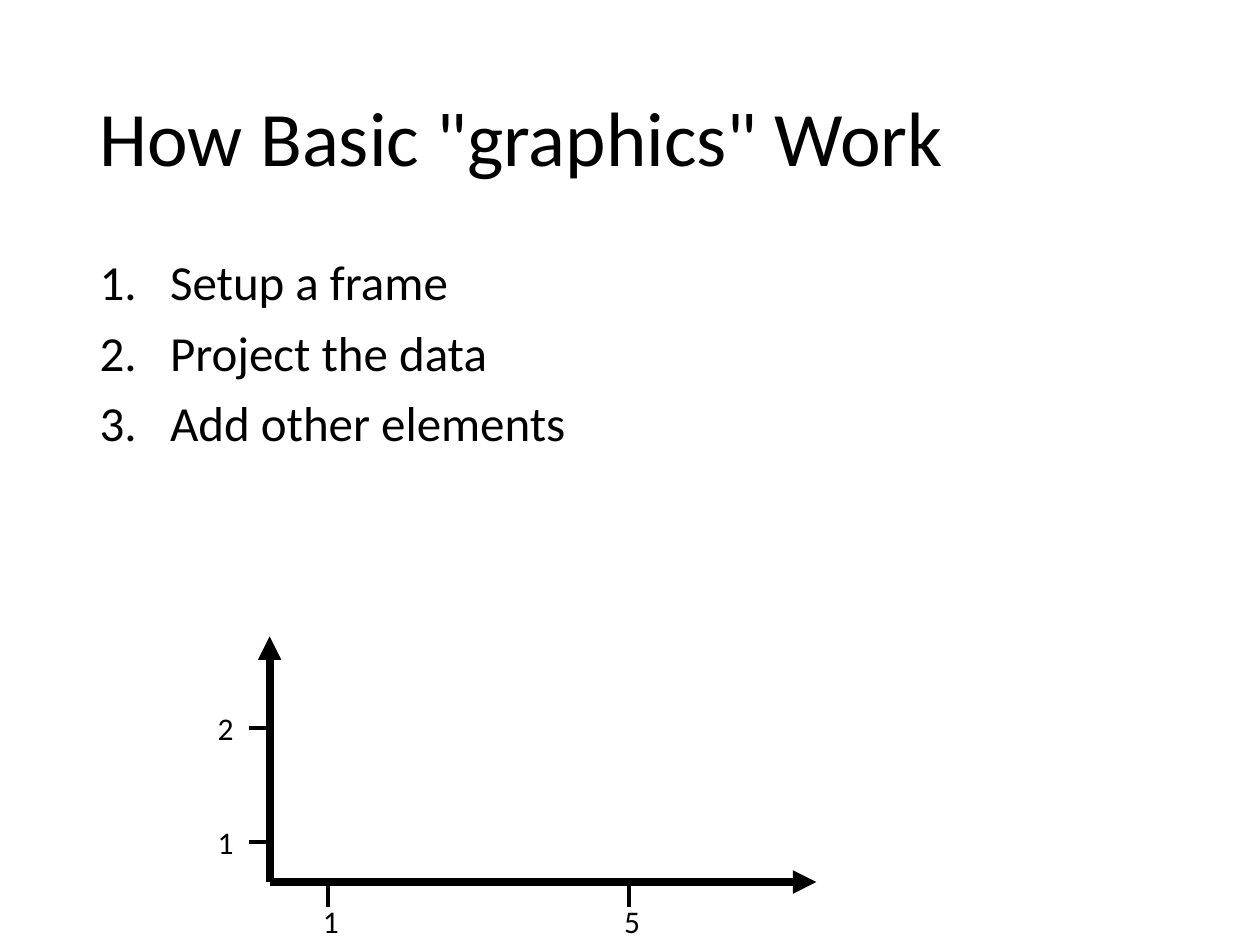
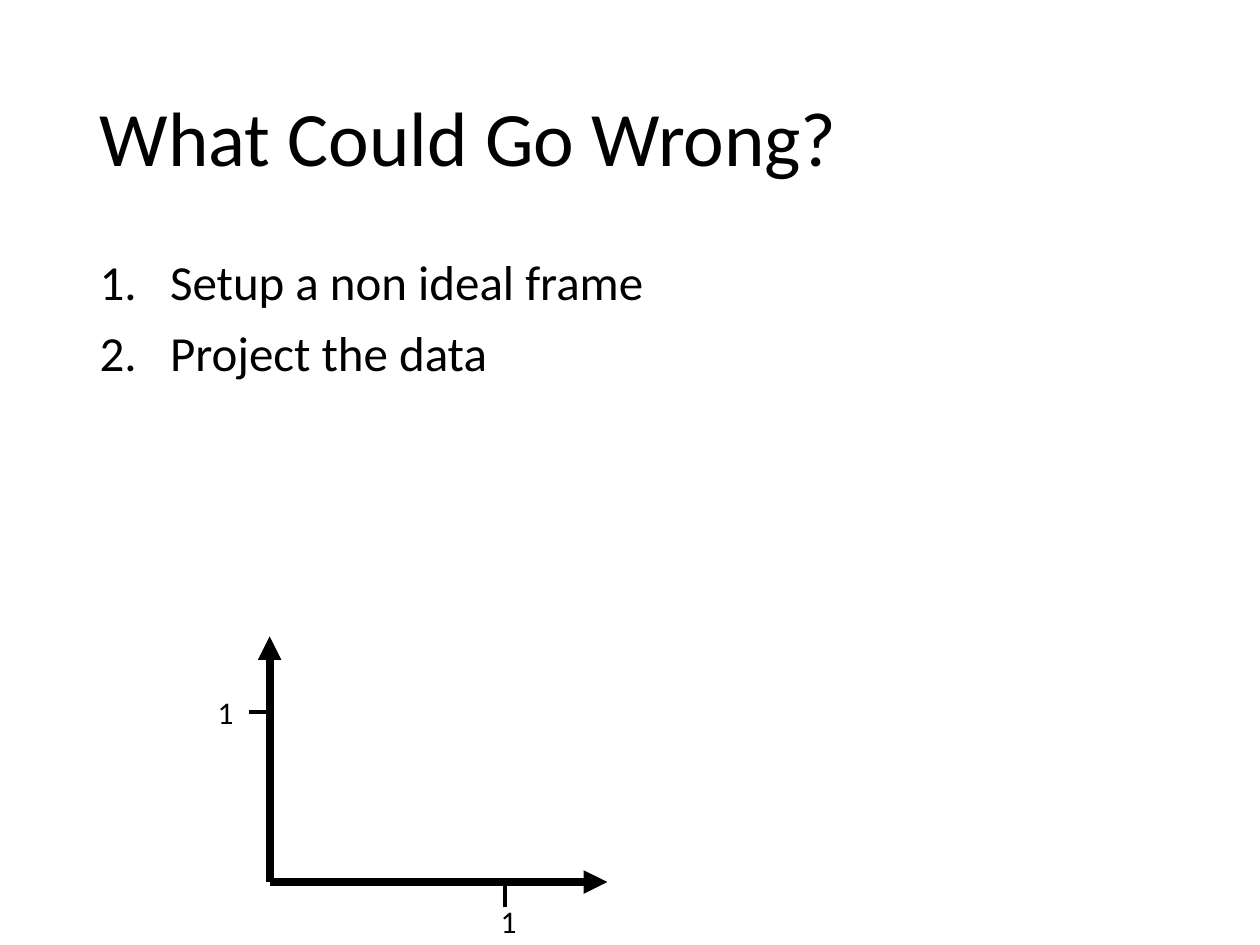
"""Build two slides that explain how a plot frame is set up and how it can go wrong."""
from dataclasses import dataclass

from lxml import etree
from pptx import Presentation
from pptx.dml.color import RGBColor
from pptx.enum.shapes import MSO_CONNECTOR
from pptx.enum.text import MSO_ANCHOR, MSO_AUTO_SIZE, PP_ALIGN
from pptx.oxml.ns import qn
from pptx.util import Inches, Pt

STRAIGHT = MSO_CONNECTOR.STRAIGHT
MIDDLE = MSO_ANCHOR.MIDDLE
FIXED, GROW = MSO_AUTO_SIZE.NONE, MSO_AUTO_SIZE.SHAPE_TO_FIT_TEXT
LEFT = PP_ALIGN.LEFT


@dataclass(frozen=True)
class Theme:
    font: str = "Calibri"
    ink: RGBColor = RGBColor(0, 0, 0)
    paper: RGBColor = RGBColor(255, 255, 255)
    title_size: int = 44
    body_size: int = 28
    label_size: int = 18
    axis_width: float = 4.5
    tick_width: float = 2.25


theme = Theme()
deck = Presentation()
deck.slide_width, deck.slide_height = Inches(10), Inches(7.5)
COLUMN = deck.slide_width / 100
ROW = deck.slide_height / 75

TITLE_AREA = (6.9, 4, 86.2, 14.5)
BODY_AREA = (6.9, 20, 86.2, 47.6)
LIST_INDENT = round(5.6 * COLUMN)
ORIGIN_X, ORIGIN_Y = 21.4, 70
AXIS_TOP = 50.5
TICK_LEFT, TICK_BOTTOM = 19.8, 72
LABEL_WIDTH, LABEL_HEIGHT = 2.7, 4
Y_LABEL_LEFT, X_LABEL_TOP = 16.3, 71.1

SLIDES = [
    {
        "title": 'How Basic "graphics" Work',
        "steps": ["Setup a frame", "Project the data", "Add other elements"],
        "axis_right": 64.8,
        "x_ticks": {"1": 26, "5": 49.9},
        "y_ticks": {"1": 66.8, "2": 57.8},
    },
    {
        "title": "What Could Go Wrong?",
        "steps": ["Setup a non ideal frame", "Project the data"],
        "axis_right": 48.2,
        "x_ticks": {"1": 40.1},
        "y_ticks": {"1": 56.5},
    },
]


def write(para, text, size):
    """Add one run in the theme's font and ink."""
    para.alignment = LEFT
    span = para.add_run()
    span.text = text
    span.font.name = theme.font
    span.font.size = Pt(size)
    span.font.color.rgb = theme.ink


def draw_line(shapes, start, end, width):
    """Draw a plain line between two grid points and return its line element."""
    line = shapes.add_connector(
        STRAIGHT,
        round(start[0] * COLUMN), round(start[1] * ROW),
        round(end[0] * COLUMN), round(end[1] * ROW),
    )
    line.line.color.rgb = theme.ink
    line.line.width = Pt(width)
    properties = line.line._get_or_add_ln().getparent()
    etree.SubElement(properties, qn("a:effectLst"))
    return properties.find(qn("a:ln"))


for content in SLIDES:
    slide = deck.slides.add_slide(deck.slide_layouts[1])
    slide.background.fill.solid()
    slide.background.fill.fore_color.rgb = theme.paper
    title, body = slide.placeholders

    for box, (left, top, width, height) in ((title, TITLE_AREA), (body, BODY_AREA)):
        box.left, box.top = round(left * COLUMN), round(top * ROW)
        box.width, box.height = round(width * COLUMN), round(height * ROW)
        box.text_frame.auto_size = FIXED

    title.text_frame.vertical_anchor = MIDDLE
    heading = title.text_frame.paragraphs[0]
    heading.line_spacing = 0.9
    write(heading, content["title"], theme.title_size)

    for number, step in enumerate(content["steps"]):
        para = body.text_frame.add_paragraph() if number else body.text_frame.paragraphs[0]
        para.line_spacing = 0.9
        para.space_before = Pt(10)
        write(para, step, theme.body_size)
        settings = para._p.get_or_add_pPr()
        settings.set("marL", str(LIST_INDENT))
        settings.set("indent", str(-LIST_INDENT))
        etree.SubElement(settings, qn("a:buFont"), typeface="+mj-lt")
        etree.SubElement(settings, qn("a:buAutoNum"), type="arabicPeriod")

    plot = slide.shapes.add_group_shape().shapes
    for axis_end in ((ORIGIN_X, AXIS_TOP), (content["axis_right"], ORIGIN_Y)):
        axis = draw_line(plot, (ORIGIN_X, ORIGIN_Y), axis_end, theme.axis_width)
        etree.SubElement(axis, qn("a:tailEnd"), type="triangle")

    labels = []
    for text, y in content["y_ticks"].items():
        draw_line(plot, (TICK_LEFT, y), (ORIGIN_X, y), theme.tick_width)
        labels.append((text, Y_LABEL_LEFT, y - LABEL_HEIGHT / 2))
    for text, x in content["x_ticks"].items():
        draw_line(plot, (x, TICK_BOTTOM), (x, ORIGIN_Y), theme.tick_width)
        labels.append((text, x - LABEL_WIDTH / 2, X_LABEL_TOP))

    for text, left, top in labels:
        box = plot.add_textbox(
            round(left * COLUMN), round(top * ROW),
            round(LABEL_WIDTH * COLUMN), round(LABEL_HEIGHT * ROW),
        )
        box.text_frame.word_wrap = True
        box.text_frame.auto_size = GROW
        write(box.text_frame.paragraphs[0], text, theme.label_size)

deck.save("out.pptx")
